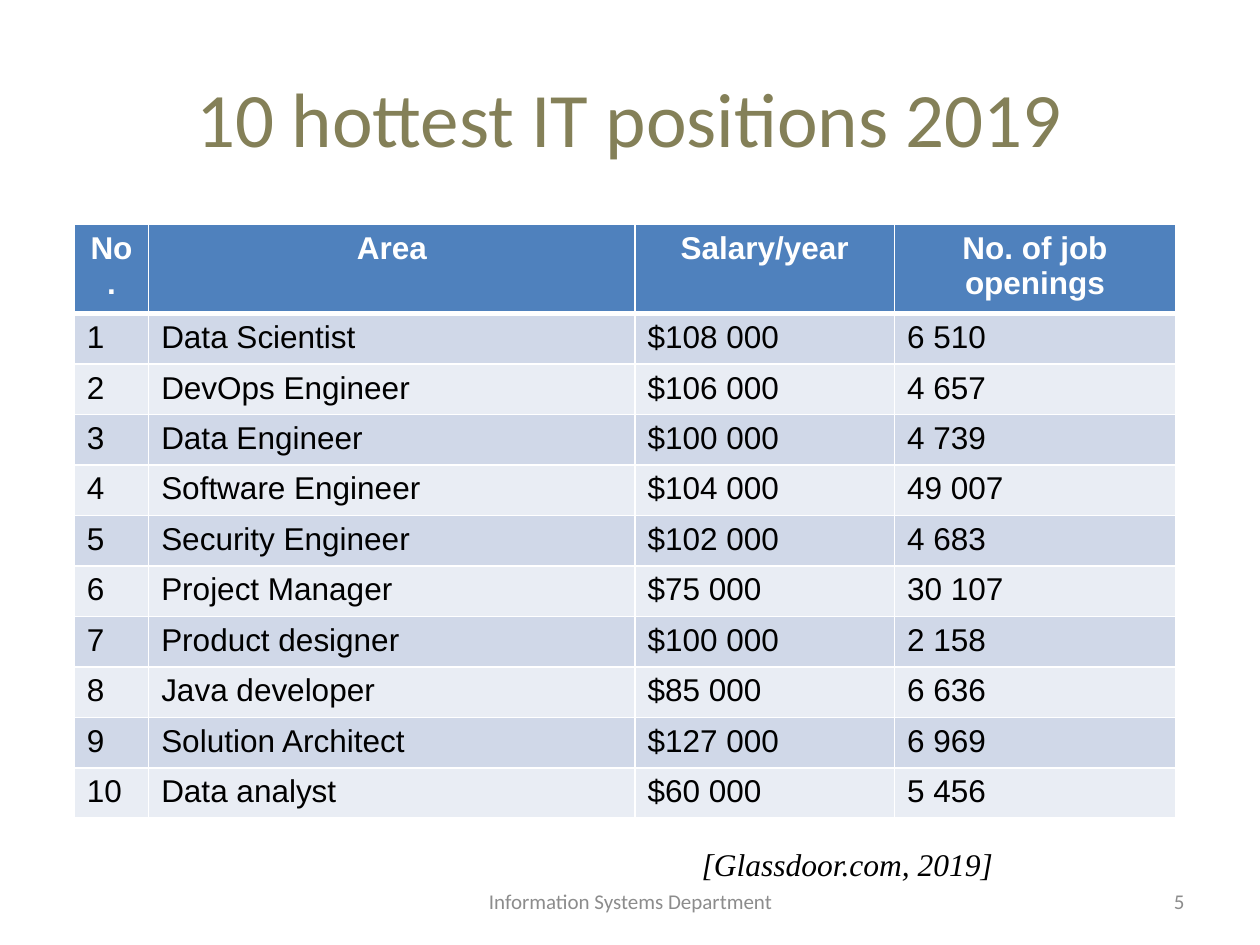
"""Build a slide with a table of the ten hottest IT positions of 2019."""
from lxml.etree import SubElement
from pptx import Presentation
from pptx.dml.color import RGBColor
from pptx.enum.text import MSO_ANCHOR as Anchor, PP_ALIGN as Align
from pptx.oxml.ns import qn
from pptx.util import Inches, Pt

TITLE = "10 hottest IT positions 2019"
DEPARTMENT = "Information Systems Department"
PAGE = "5"
CITATION = "[Glassdoor.com, 2019]"
HEADINGS = ("No.", "Area", "Salary/year", "No. of job openings")
POSITIONS = [
    ("Data Scientist", "$108 000", "6 510"),
    ("DevOps Engineer", "$106 000", "4 657"),
    ("Data Engineer", "$100 000", "4 739"),
    ("Software Engineer", "$104 000", "49 007"),
    ("Security Engineer", "$102 000", "4 683"),
    ("Project Manager", "$75 000", "30 107"),
    ("Product designer", "$100 000", "2 158"),
    ("Java developer", "$85 000", "6 636"),
    ("Solution Architect", "$127 000", "6 969"),
    ("Data analyst", "$60 000", "5 456"),
]
COLUMN_WIDTHS = (0.59, 3.86, 2.06, 2.23)
HEADING_HEIGHT, ROW_HEIGHT = 0.71, 0.4
HEADING_FILL, BANDS = "4F81BD", ("D0D8E8", "E9EDF4")
WHITE, BLACK, GREY, OLIVE = "FFFFFF", "000000", "8C8C8C", "848058"


def rgb(value):
    return RGBColor.from_string(value)


def write(frame, text, size, face, color, align=Align.LEFT, bold=False, italic=False):
    paragraph = frame.paragraphs[0]
    paragraph.text = text
    paragraph.alignment = align
    font = paragraph.runs[0].font
    font.size, font.name, font.bold, font.italic = Pt(size), face, bold, italic
    font.color.rgb = rgb(color)


def add_text(slide, box, text, size, face, color, anchor=Anchor.MIDDLE, **style):
    frame = slide.shapes.add_textbox(*map(Inches, box)).text_frame
    frame.word_wrap = True
    frame.vertical_anchor = anchor
    write(frame, text, size, face, color, **style)


def add_borders(cell, widths):
    properties = cell._tc.get_or_add_tcPr()
    for side, width in widths.items():
        line = SubElement(properties, qn(f"a:ln{side}"), w=str(Pt(width)))
        fill = SubElement(line, qn("a:solidFill"))
        SubElement(fill, qn("a:srgbClr"), val=WHITE)


def add_positions(slide):
    rows = [HEADINGS] + [(str(n), *position) for n, position in enumerate(POSITIONS, 1)]
    heights = [HEADING_HEIGHT] + [ROW_HEIGHT] * len(POSITIONS)
    box = (0.59, 1.78, sum(COLUMN_WIDTHS), sum(heights))
    table = slide.shapes.add_table(len(rows), len(HEADINGS), *map(Inches, box)).table
    for column, width in zip(table.columns, COLUMN_WIDTHS):
        column.width = Inches(width)
    for r, (values, height) in enumerate(zip(rows, heights)):
        table.rows[r].height = Inches(height)
        heading = r == 0
        for c, value in enumerate(values):
            cell = table.cell(r, c)
            add_borders(cell, {"L": 1, "R": 1, "T": 3 if r == 1 else 1, "B": 3 if heading else 1})
            cell.fill.solid()
            cell.fill.fore_color.rgb = rgb(HEADING_FILL if heading else BANDS[(r - 1) % 2])
            write(cell.text_frame, value, 18, "Arial", WHITE if heading else BLACK,
                  align=Align.CENTER if heading else Align.LEFT, bold=heading)


def main():
    deck = Presentation()
    deck.slide_width, deck.slide_height = Inches(10), Inches(7.5)
    slide = deck.slides.add_slide(deck.slide_layouts[6])
    add_text(slide, (0.5, 0.3, 9, 1.25), TITLE, 44, "Calibri", OLIVE, align=Align.CENTER)
    add_text(slide, (3.42, 6.95, 3.17, 0.4), DEPARTMENT, 12, "Calibri", GREY, align=Align.CENTER)
    add_text(slide, (7.17, 6.95, 2.33, 0.4), PAGE, 12, "Calibri", GREY, align=Align.RIGHT)
    add_positions(slide)
    add_text(slide, (5.47, 6.66, 3.31, 0.4), CITATION, 18, "Times New Roman", BLACK,
             anchor=Anchor.TOP, italic=True)
    deck.save("out.pptx")


if __name__ == "__main__":
    main()
